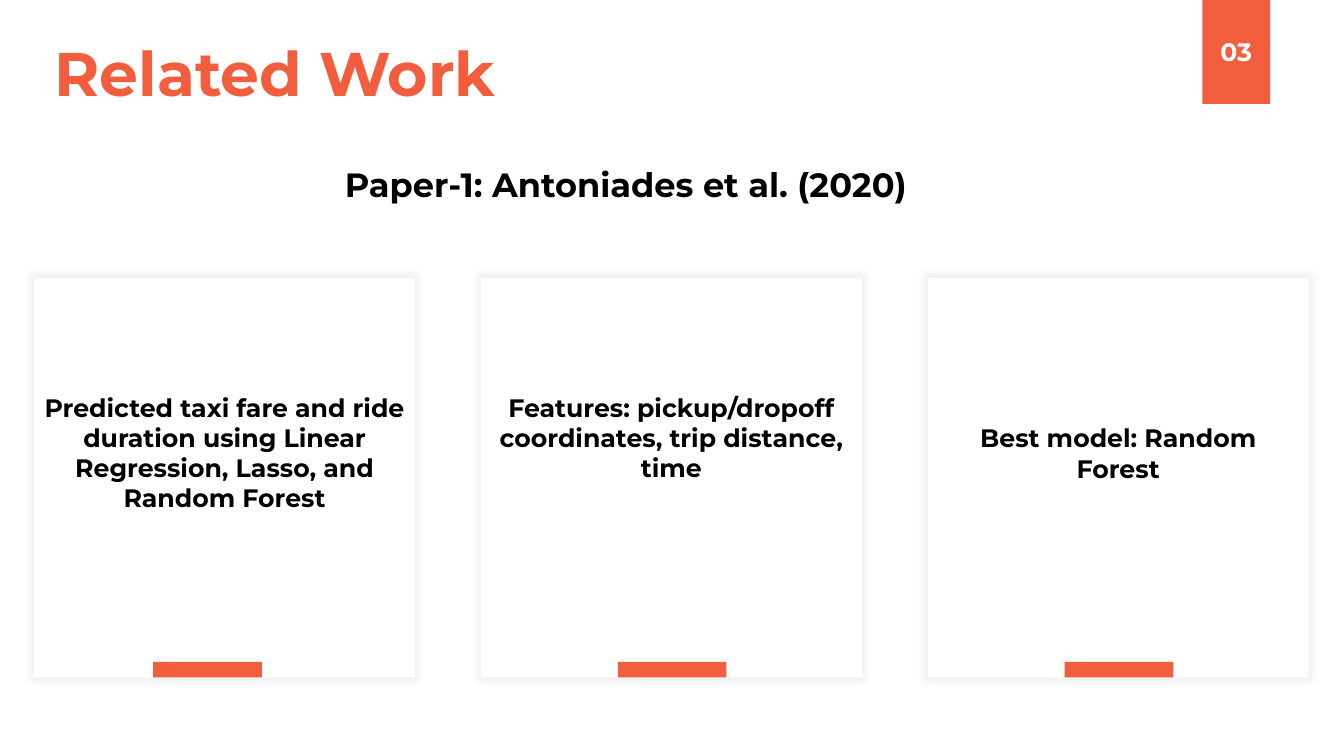
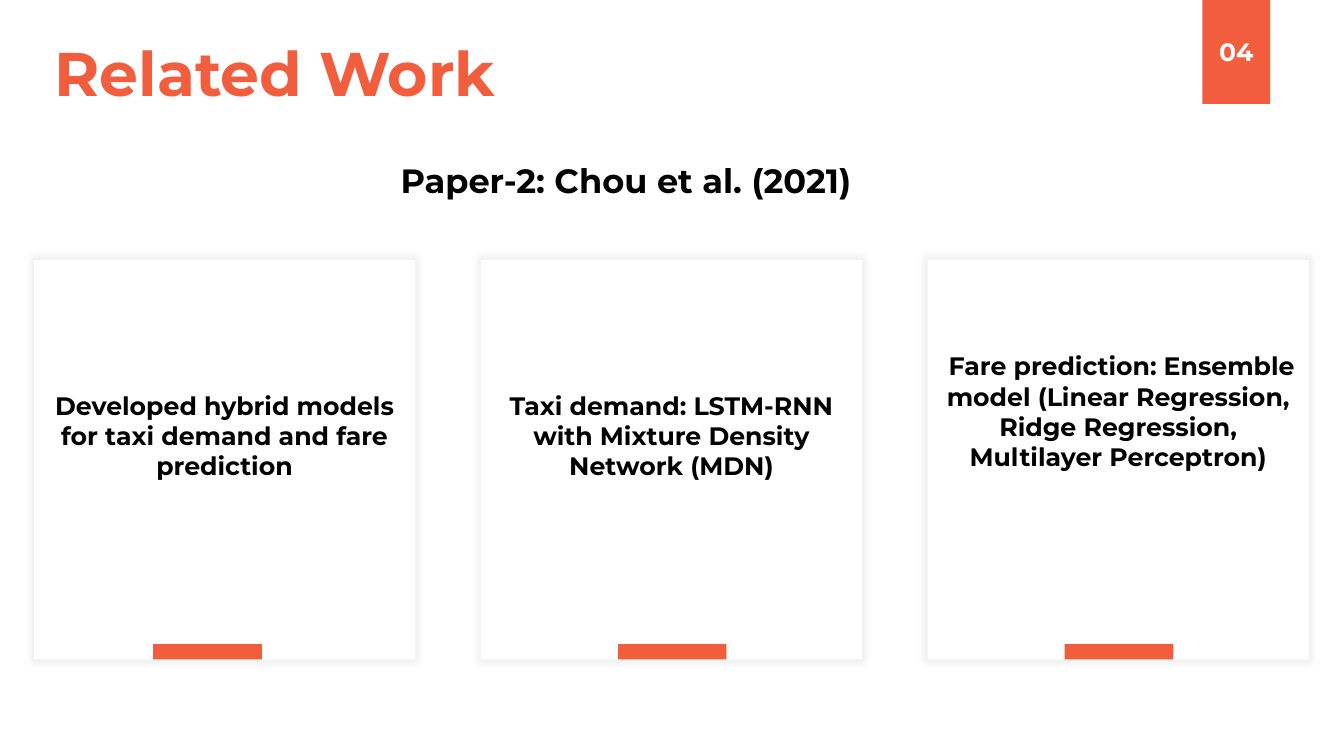
"""Build two related-work slides, each with a heading and three cards."""
from lxml import etree
from pptx import Presentation
from pptx.dml.color import RGBColor
from pptx.enum import shapes, text
from pptx.oxml import ns
from pptx.util import Cm, Pt

ORANGE = RGBColor(0xF2, 0x5E, 0x3D)
BLACK = RGBColor(0, 0, 0)
WHITE = RGBColor(255, 255, 255)

CARD_LEFT, CARD_PITCH, CARD_WIDTH, CARD_HEIGHT = 0.86, 11.26, 9.6, 10.07
BAR_LEFTS, BAR_WIDTH, BAR_HEIGHT = (3.86, 15.57, 26.83), 2.74, 0.39

PAGES = [
    {
        "number": "03",
        "heading": "Paper-1: Antoniades et al. (2020)",
        "heading_top": 4.01,
        "card_top": 7.0,
        "cards": [
            ("Predicted taxi fare and ride duration using Linear Regression, Lasso, and Random Forest", 9.75),
            ("Features: pickup/dropoff coordinates, trip distance, time", 9.75),
            ("Best model: Random Forest", 10.52),
        ],
    },
    {
        "number": "04",
        "heading": "Paper-2: Chou et al. (2021)",
        "heading_top": 3.89,
        "card_top": 6.55,
        "cards": [
            ("Developed hybrid models for taxi demand and fare prediction", 9.7),
            ("Taxi demand: LSTM-RNN with Mixture Density Network (MDN)", 9.7),
            (" Fare prediction: Ensemble model (Linear Regression, Ridge Regression, Multilayer Perceptron)", 8.71),
        ],
    },
]


def write(shape, words, size, color, align=text.PP_ALIGN.CENTER, anchor=text.MSO_ANCHOR.TOP, top=0.13):
    """Put one bold paragraph into a shape."""
    frame = shape.text_frame
    frame_format = {
        "word_wrap": True, "auto_size": text.MSO_AUTO_SIZE.NONE, "vertical_anchor": anchor,
        "margin_left": Cm(0.25), "margin_right": Cm(0.25),
        "margin_top": Cm(top), "margin_bottom": Cm(0.13),
    }
    for name, value in frame_format.items():
        setattr(frame, name, value)
    para = frame.paragraphs[0]
    para.alignment = align
    para.line_spacing = 1.0
    span = para.add_run()
    span.text = words
    for name, value in {"name": "Montserrat", "size": Pt(size), "bold": True}.items():
        setattr(span.font, name, value)
    span.font.color.rgb = color


def add_block(page, left, top, width, height, color):
    """Add a plain filled rectangle measured in centimetres."""
    block = page.shapes.add_shape(
        shapes.MSO_SHAPE.RECTANGLE, Cm(left), Cm(top), Cm(width), Cm(height))
    block.shadow.inherit = False
    block.fill.solid()
    block.fill.fore_color.rgb = color
    block.line.fill.background()
    return block


deck = Presentation()
deck.slide_width, deck.slide_height = Cm(33.87), Cm(19.05)

for content in PAGES:
    page = deck.slides.add_slide(deck.slide_layouts[5])

    title = page.shapes.title
    title.left, title.top, title.width, title.height = Cm(1.12), Cm(0.76), Cm(28.02), Cm(2.14)
    write(title, "Related Work", 44, ORANGE, align=text.PP_ALIGN.LEFT)

    badge = add_block(page, 30.3, -0.03, 1.71, 2.65, ORANGE)
    write(badge, content["number"], 18, WHITE, anchor=text.MSO_ANCHOR.MIDDLE)

    heading = page.shapes.add_textbox(Cm(1.76), Cm(content["heading_top"]), Cm(28.02), Cm(1.28))
    write(heading, content["heading"], 24, BLACK)

    card_top = content["card_top"]
    for column, (words, words_top) in enumerate(content["cards"]):
        card = add_block(page, CARD_LEFT + column * CARD_PITCH, card_top, CARD_WIDTH, CARD_HEIGHT, WHITE)
        write(card, words, 18, BLACK, top=words_top - card_top + 0.13)
        effects = card._element.spPr.find(ns.qn("a:effectLst"))
        glow = etree.SubElement(effects, ns.qn("a:outerShdw"), blurRad="63500", sx="102000",
                                sy="102000", algn="ctr", rotWithShape="0")
        shade = etree.SubElement(glow, ns.qn("a:srgbClr"), val=str(BLACK))
        etree.SubElement(shade, ns.qn("a:alpha"), val="6000")

        bar_top = card_top + CARD_HEIGHT - BAR_HEIGHT
        add_block(page, BAR_LEFTS[column], bar_top, BAR_WIDTH, BAR_HEIGHT, ORANGE)

deck.save("out.pptx")
